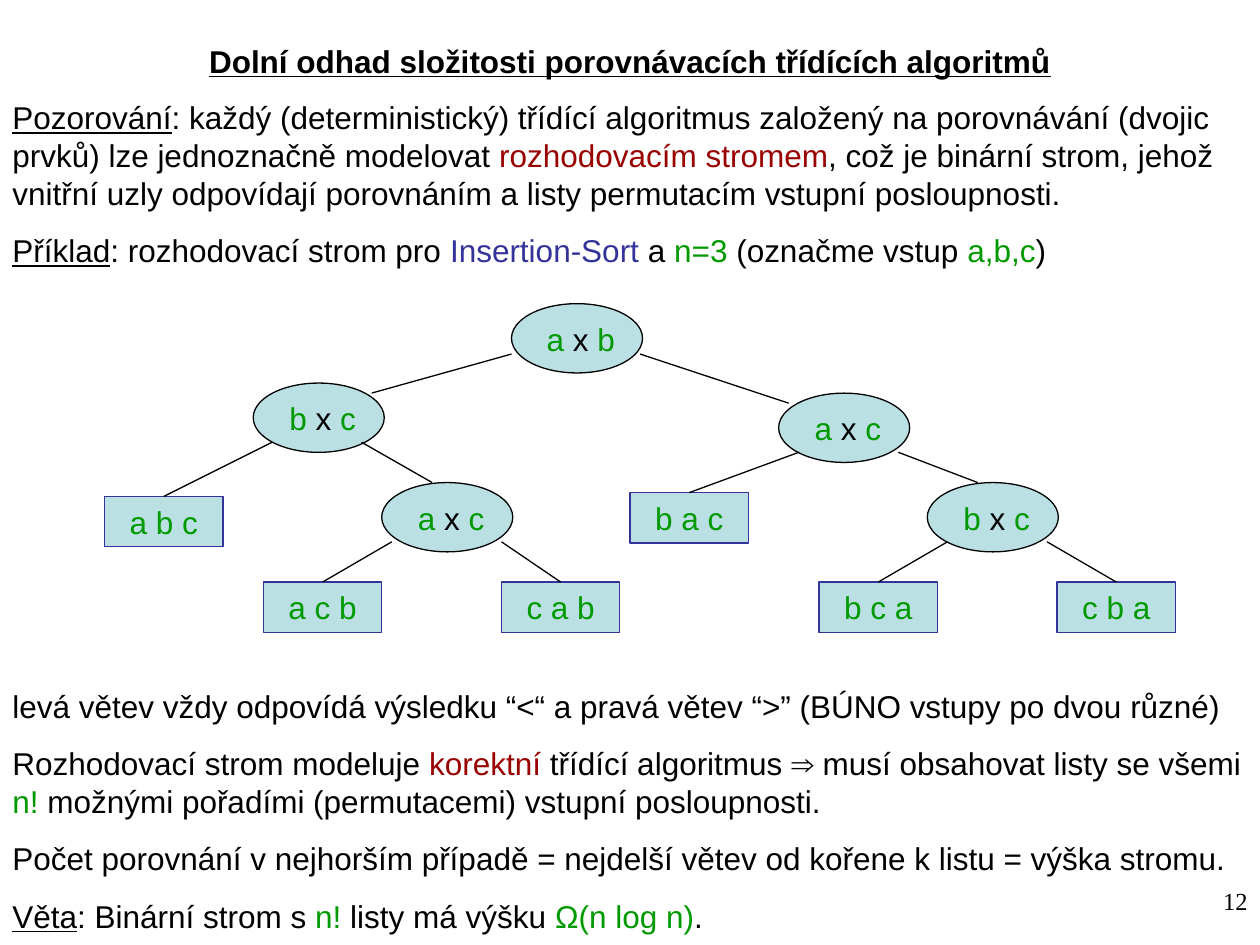
from dataclasses import dataclass

from lxml import etree
from pptx import Presentation
from pptx.dml.color import RGBColor
from pptx.enum.shapes import MSO_CONNECTOR, MSO_SHAPE
from pptx.enum.text import MSO_ANCHOR, MSO_AUTO_SIZE, PP_ALIGN
from pptx.oxml.ns import qn
from pptx.util import Inches, Pt

STRAIGHT = MSO_CONNECTOR.STRAIGHT
OVAL, RECTANGLE = MSO_SHAPE.OVAL, MSO_SHAPE.RECTANGLE
TOP, MIDDLE = MSO_ANCHOR.TOP, MSO_ANCHOR.MIDDLE
LEFT, CENTER, RIGHT = PP_ALIGN.LEFT, PP_ALIGN.CENTER, PP_ALIGN.RIGHT
GROW = MSO_AUTO_SIZE.SHAPE_TO_FIT_TEXT
TOP_SITE = 0

BLACK = RGBColor(0x00, 0x00, 0x00)
RED = RGBColor(0x99, 0x00, 0x00)
GREEN = RGBColor(0x00, 0x99, 0x00)
INDIGO = RGBColor(0x33, 0x33, 0x99)
PALE_BLUE = RGBColor(0xBB, 0xE0, 0xE3)

TEXT_FONT, TEXT_SIZE = "Arial", 18
PARAGRAPH_GAP = Pt(11.2)
LINE_WIDTH = Pt(0.75)
NODE_W, NODE_H = 1.04, 0.55
LABEL_W, LABEL_H = 0.94, 0.4
LABEL_INSET = 0.08


@dataclass(frozen=True)
class Run:
    text: str
    color: RGBColor = BLACK
    underline: bool = False


@dataclass(frozen=True)
class Comparison:
    first: str
    second: str
    left: float
    top: float


@dataclass(frozen=True)
class Leaf:
    order: str
    left: float
    top: float


@dataclass(frozen=True)
class Branch:
    start: tuple[float, float]
    end: tuple[float, float] | str  # a point, or the order in a leaf


OBSERVATION = [
    [
        Run("Pozorování", underline=True),
        Run(": každý (deterministický) třídící algoritmus založený na porovnávání "
            "(dvojic prvků) lze jednoznačně modelovat "),
        Run("rozhodovacím stromem", RED),
        Run(", což je binární strom, jehož vnitřní uzly odpovídají porovnáním "
            "a listy permutacím vstupní posloupnosti."),
    ],
    [
        Run("Příklad", underline=True),
        Run(": rozhodovací strom pro "),
        Run("Insertion-Sort", INDIGO),
        Run(" a "),
        Run("n=3", GREEN),
        Run(" (označme vstup "),
        Run("a,b,c", GREEN),
        Run(")"),
    ],
]
CONCLUSION = [
    [Run("levá větev vždy odpovídá výsledku “<“ a pravá větev “>” "
         "(BÚNO vstupy po dvou různé)")],
    [
        Run("Rozhodovací strom modeluje "),
        Run("korektní", RED),
        Run(" třídící algoritmus ⇒ musí obsahovat listy se všemi "),
        Run("n! ", GREEN),
        Run("možnými pořadími (permutacemi) vstupní posloupnosti."),
    ],
    [Run("Počet porovnání v nejhorším případě = nejdelší větev od kořene "
         "k listu = výška stromu.")],
    [
        Run("Věta", underline=True),
        Run(": Binární strom s "),
        Run("n!", GREEN),
        Run(" listy má výšku "),
        Run("Ω(n log n)", GREEN),
        Run("."),
    ],
]
COMPARISONS = [
    Comparison("b", "c", 2.01, 3.04),
    Comparison("a", "b", 4.06, 2.41),
    Comparison("a", "c", 6.18, 3.12),
    Comparison("a", "c", 3.03, 3.83),
    Comparison("b", "c", 7.36, 3.83),
]
LEAVES = [
    Leaf("a b c", 0.83, 3.94),
    Leaf("a c b", 2.09, 4.62),
    Leaf("c a b", 3.98, 4.62),
    Leaf("b c a", 6.5, 4.62),
    Leaf("c b a", 8.39, 4.62),
    Leaf("b a c", 5, 3.91),
]
BRANCHES = [
    Branch((4.06, 2.81), (2.95, 3.12)),
    Branch((5.08, 2.81), (6.26, 3.2)),
    Branch((2.16, 3.51), "a b c"),
    Branch((2.87, 3.51), (3.43, 3.83)),
    Branch((6.34, 3.59), "b a c"),
    Branch((7.13, 3.59), (7.76, 3.83)),
    Branch((3.11, 4.3), "a c b"),
    Branch((3.98, 4.3), "c a b"),
    Branch((7.52, 4.3), "b c a"),
    Branch((8.31, 4.3), "c b a"),
]


def box(left: float, top: float, width: float, height: float) -> tuple:
    return Inches(left), Inches(top), Inches(width), Inches(height)


def write(frame, paragraphs: list[list[Run]], align=LEFT, anchor=TOP,
          font: str = TEXT_FONT, size: float = TEXT_SIZE) -> None:
    frame.word_wrap = True
    frame.auto_size = GROW
    frame.vertical_anchor = anchor
    for index, runs in enumerate(paragraphs):
        paragraph = frame.add_paragraph() if index else frame.paragraphs[0]
        paragraph.alignment = align
        paragraph.space_before = PARAGRAPH_GAP if index else Pt(0)
        paragraph.font.name = font
        paragraph.font.size = Pt(size)
        for part in runs:
            run = paragraph.add_run()
            run.text = part.text
            run.font.color.rgb = part.color
            if part.underline:
                run.font.underline = True


def style(shape, outline: RGBColor) -> None:
    shape.shadow.inherit = False
    shape.fill.solid()
    shape.fill.fore_color.rgb = PALE_BLUE
    shape.line.color.rgb = outline
    shape.line.width = LINE_WIDTH


def draw_comparison(slide, node: Comparison) -> None:
    shapes = slide.shapes.add_group_shape().shapes
    style(shapes.add_shape(OVAL, *box(node.left, node.top, NODE_W, NODE_H)), BLACK)
    label = shapes.add_textbox(
        *box(node.left + LABEL_INSET, node.top + LABEL_INSET, LABEL_W, LABEL_H))
    runs = [Run(node.first, GREEN), Run(" x "), Run(node.second, GREEN)]
    write(label.text_frame, [runs], CENTER)


def draw_leaf(slide, leaf: Leaf):
    rectangle = slide.shapes.add_shape(
        RECTANGLE, *box(leaf.left, leaf.top, LABEL_W, LABEL_H))
    style(rectangle, INDIGO)
    write(rectangle.text_frame, [[Run(leaf.order, GREEN)]], CENTER, MIDDLE)
    return rectangle


def draw_branch(slide, branch: Branch, leaves: dict) -> None:
    to_leaf = isinstance(branch.end, str)
    end = branch.start if to_leaf else branch.end
    line = slide.shapes.add_connector(STRAIGHT, *box(*branch.start, *end))
    if to_leaf:
        line.end_connect(leaves[branch.end], TOP_SITE)
    line.line.color.rgb = BLACK
    line.line.width = LINE_WIDTH
    etree.SubElement(line._element.spPr, qn("a:effectLst"))


def main() -> None:
    deck = Presentation()
    deck.slide_width, deck.slide_height = Inches(10), Inches(7.5)
    slide = deck.slides.add_slide(deck.slide_layouts[5])

    # Heading and introduction
    title = slide.shapes.title
    title.left, title.top, title.width, title.height = box(0, 0.28, 10, 0.4)
    heading = Run("Dolní odhad složitosti porovnávacích třídících algoritmů",
                  underline=True)
    write(title.text_frame, [[heading]], CENTER)
    title.text_frame.paragraphs[0].font.bold = True
    introduction = slide.shapes.add_textbox(*box(0, 0.73, 10, 1.47))
    write(introduction.text_frame, OBSERVATION)

    # Decision tree
    for node in COMPARISONS:
        draw_comparison(slide, node)
    leaves = {leaf.order: draw_leaf(slide, leaf) for leaf in LEAVES}
    for branch in BRANCHES:
        draw_branch(slide, branch, leaves)

    # Conclusion and page number
    conclusion = slide.shapes.add_textbox(*box(0, 5.4, 10, 2.07))
    write(conclusion.text_frame, CONCLUSION)
    page_number = slide.shapes.add_textbox(*box(7.67, 6.98, 2.33, 0.52))
    write(page_number.text_frame, [[Run("12")]], RIGHT, font="Times New Roman", size=14)

    deck.save("out.pptx")


if __name__ == "__main__":
    main()
